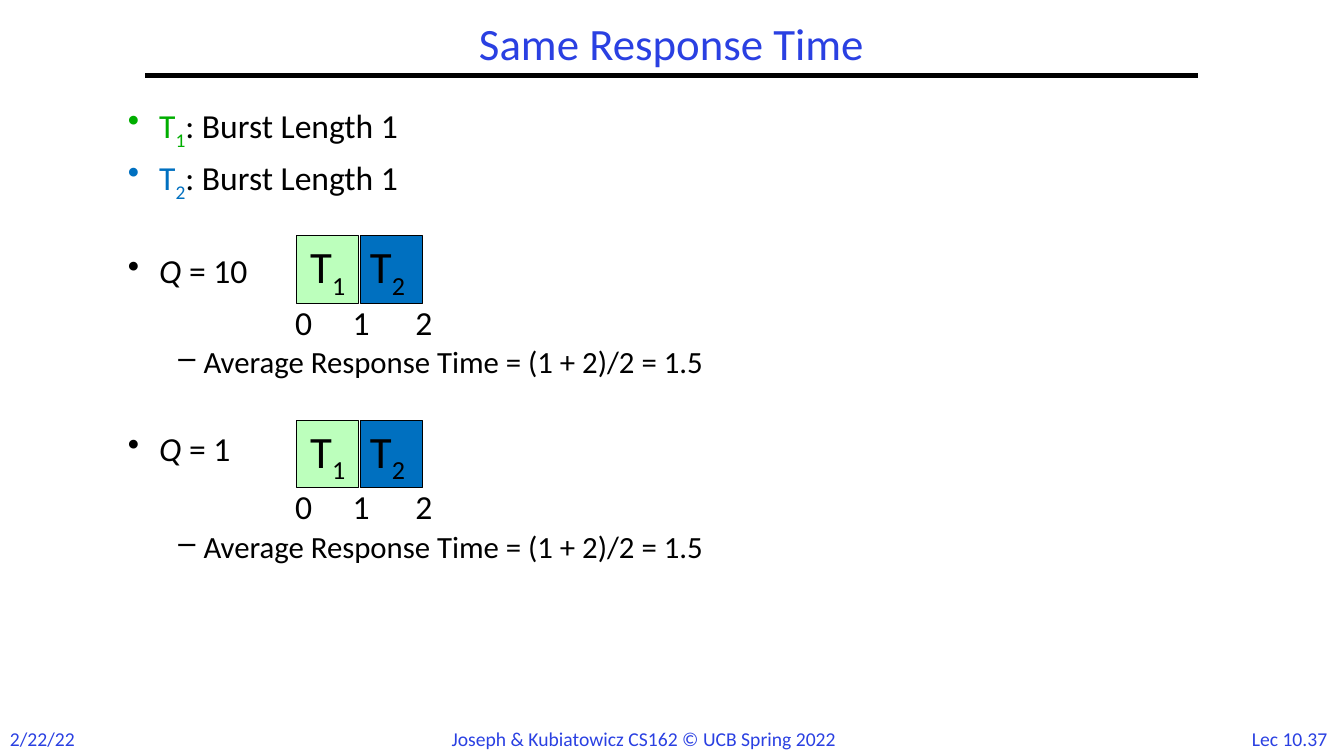
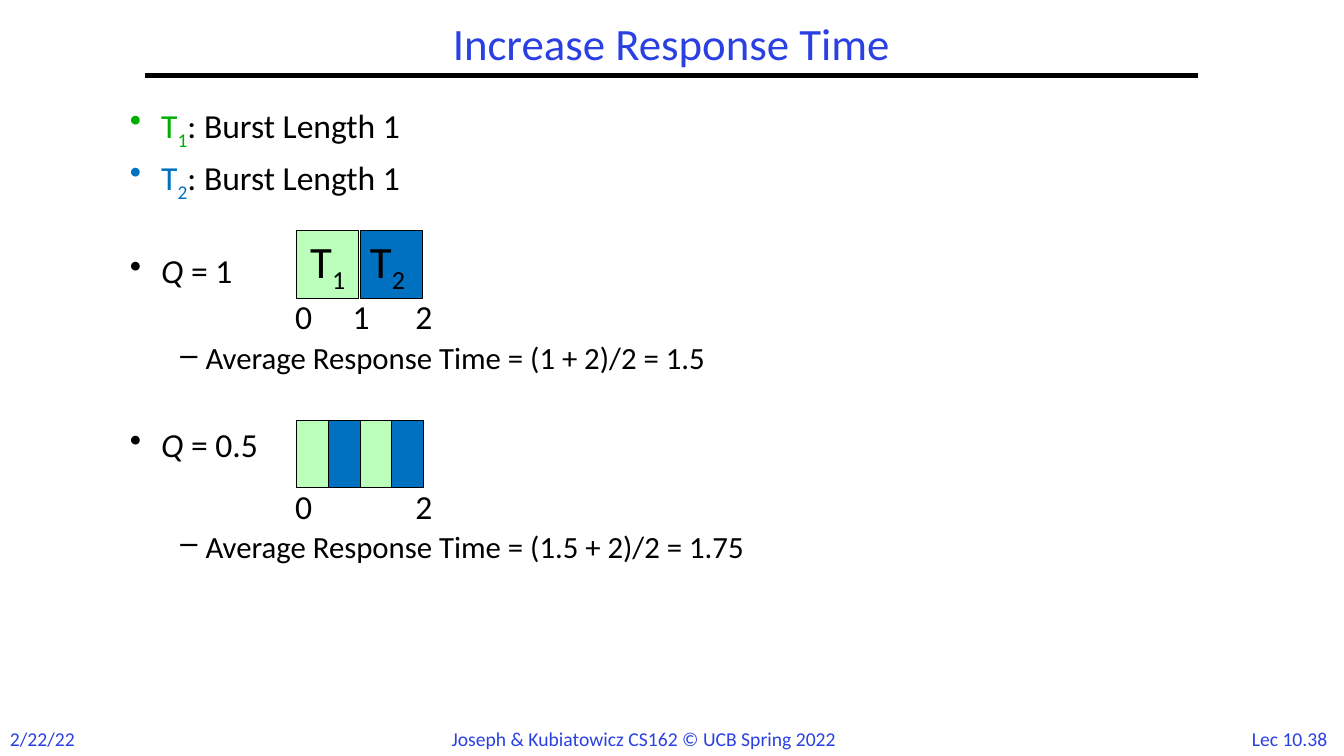
from lxml import etree
from pptx import Presentation
from pptx import util as u
from pptx.dml.color import RGBColor
from pptx.enum import shapes, text
from pptx.oxml import ns

W, H = u.Inches(13.33), u.Inches(7.5)
FONT = "Calibri"
COLORS = {
    "accent": "2A40E2",
    "ink": "000000",
    "T1 text": "00AE00",
    "T2 text": "0070C0",
    "T1 fill": "BCFFBC",
    "T2 fill": "0070C0",
}
TITLE = (10.8, 2.27, 78.32, 7.73)
FOOTER_TOP, FOOTER_HEIGHT = 95.5, 4.5
CHART_LEFT, CHART_WIDTH, SLICE_HEIGHT = 22.06, 9.46, 8.93
TICK_OFFSETS = {"0": -0.83, "1": 3.45, "2": 8.1}
TICK_DROP = 8.0
BULLETS = [("•", 0.31, 0.31, 24), ("–", 0.75, 0.25, 22)]


def color(name):
    return RGBColor.from_string(COLORS[name])


def area(left, top, width, height):
    return [int(full * share / 100)
            for full, share in zip((W, H, W, H), (left, top, width, height))]


def add_run(p, content, size, ink="ink", italic=False, subscript=False):
    r = p.add_run()
    r.text = content
    r.font.name, r.font.size = FONT, u.Pt(size)
    r.font.color.rgb = color(ink)
    if italic:
        r.font.italic = True
    if subscript:
        r.font._element.set("baseline", "-25000")


def add_thread_name(p, number, size, ink="ink"):
    add_run(p, "T", size, ink)
    add_run(p, str(number), size, ink, subscript=True)


def add_label(s, box, content, size, ink="ink", align=text.PP_ALIGN.LEFT):
    tf = s.shapes.add_textbox(*area(*box)).text_frame
    tf.word_wrap = False
    tf.auto_size = text.MSO_AUTO_SIZE.SHAPE_TO_FIT_TEXT
    tf.vertical_anchor = text.MSO_ANCHOR.MIDDLE
    p = tf.paragraphs[0]
    p.alignment = align
    add_run(p, content, size, ink)


def add_frame(s, title, number):
    sp = s.shapes.title
    sp.left, sp.top, sp.width, sp.height = area(*TITLE)
    tf = sp.text_frame
    tf.vertical_anchor = text.MSO_ANCHOR.MIDDLE
    tf.auto_size = text.MSO_AUTO_SIZE.NONE
    p = tf.paragraphs[0]
    p.alignment, p.line_spacing = text.PP_ALIGN.CENTER, 0.9
    add_run(p, title, 32, "accent")

    left, top, width, height = area(*TITLE)
    rule = s.shapes.add_connector(shapes.MSO_CONNECTOR.STRAIGHT,
                                  left, top + height, left + width, top + height)
    rule.line.color.rgb, rule.line.width = color("ink"), u.Pt(3)
    etree.SubElement(rule._element.spPr, ns.qn("a:effectLst"))

    footers = [
        (0, 6.38, "2/22/22", text.PP_ALIGN.LEFT),
        (32.86, 34.13, "Joseph & Kubiatowicz CS162 © UCB Spring 2022", text.PP_ALIGN.LEFT),
        (91.9, 8.1, f"Lec 10.{number}", text.PP_ALIGN.CENTER),
    ]
    for left, width, content, align in footers:
        add_label(s, (left, FOOTER_TOP, width, FOOTER_HEIGHT), content, 14, "accent", align)


def set_bullet_levels(tf):
    styles = tf._txBody.find(ns.qn("a:lstStyle"))
    if styles is None:
        styles = etree.Element(ns.qn("a:lstStyle"))
        tf._txBody.insert(1, styles)
    for level, (mark, margin, hang, size) in enumerate(BULLETS, 1):
        style = etree.SubElement(styles, ns.qn(f"a:lvl{level}pPr"),
                                 marL=str(u.Inches(margin)), indent=str(-u.Inches(hang)))
        etree.SubElement(style, ns.qn("a:buChar"), char=mark)
        font = etree.SubElement(style, ns.qn("a:defRPr"), sz=str(size * 100))
        etree.SubElement(font, ns.qn("a:latin"), typeface=FONT)


def add_bullet(tf, level, space_before):
    p = tf.add_paragraph() if tf.paragraphs[0].runs else tf.paragraphs[0]
    p.level, p.line_spacing = level, 0.9
    if space_before:
        p.space_before = u.Pt(space_before)
    return p, BULLETS[level][-1]


def add_body(s, left, cases):
    tf = s.shapes.add_textbox(*area(left, 13.33, 86.72, 74.4)).text_frame
    tf.word_wrap = True
    set_bullet_levels(tf)
    for number, gap in ((1, 0), (2, 7.8)):
        p, size = add_bullet(tf, 0, gap)
        add_thread_name(p, number, size, f"T{number} text")
        add_run(p, ": Burst Length 1", size)
    for quantum, average, quantum_gap, average_gap in cases:
        p, size = add_bullet(tf, 0, quantum_gap)
        add_run(p, "Q", size, italic=True)
        add_run(p, f" = {quantum}", size)
        p, size = add_bullet(tf, 1, average_gap)
        add_run(p, f"Average Response Time = {average}", size)


def add_timeline(s, top, threads, ticks):
    pitch = CHART_WIDTH / len(threads)
    named = len(threads) == 2
    width = pitch - 0.08 if named else pitch
    for i, number in enumerate(threads):
        sp = s.shapes.add_shape(shapes.MSO_SHAPE.RECTANGLE,
                                *area(CHART_LEFT + i * pitch, top, width, SLICE_HEIGHT))
        sp.shadow.inherit = False
        sp.fill.solid()
        sp.fill.fore_color.rgb = color(f"T{number} fill")
        sp.line.color.rgb, sp.line.width = color("ink"), u.Pt(0.75)
        if named:
            tf = sp.text_frame
            tf.word_wrap = False
            tf.vertical_anchor = text.MSO_ANCHOR.MIDDLE
            p = tf.paragraphs[0]
            p.alignment = text.PP_ALIGN.CENTER if number == 1 else text.PP_ALIGN.LEFT
            add_thread_name(p, number, 32)
    for tick in ticks:
        add_label(s, (CHART_LEFT + TICK_OFFSETS[tick], top + TICK_DROP, 2.93, 6.67), tick, 24)


def main():
    prs = Presentation()
    prs.slide_width, prs.slide_height = W, H
    slides = [
        ("Same Response Time", 37, 8.78,
         [("10", "(1 + 2)/2 = 1.5", 39.4, 40), ("1", "(1 + 2)/2 = 1.5", 37.5, 45)],
         [(31.2, (1, 2), "012"), (55.6, (1, 2), "012")]),
        ("Increase Response Time", 38, 8.93,
         [("1", "(1 + 2)/2 = 1.5", 39.4, 37.4), ("0.5", "(1.5 + 2)/2 = 1.75", 37.5, 47.6)],
         [(30.53, (1, 2), "012"), (55.6, (1, 2, 1, 2), "02")]),
    ]
    for title, number, body_left, cases, timelines in slides:
        s = prs.slides.add_slide(prs.slide_layouts[5])
        add_frame(s, title, number)
        add_body(s, body_left, cases)
        for timeline in timelines:
            add_timeline(s, *timeline)
    prs.save("out.pptx")


if __name__ == "__main__":
    main()
